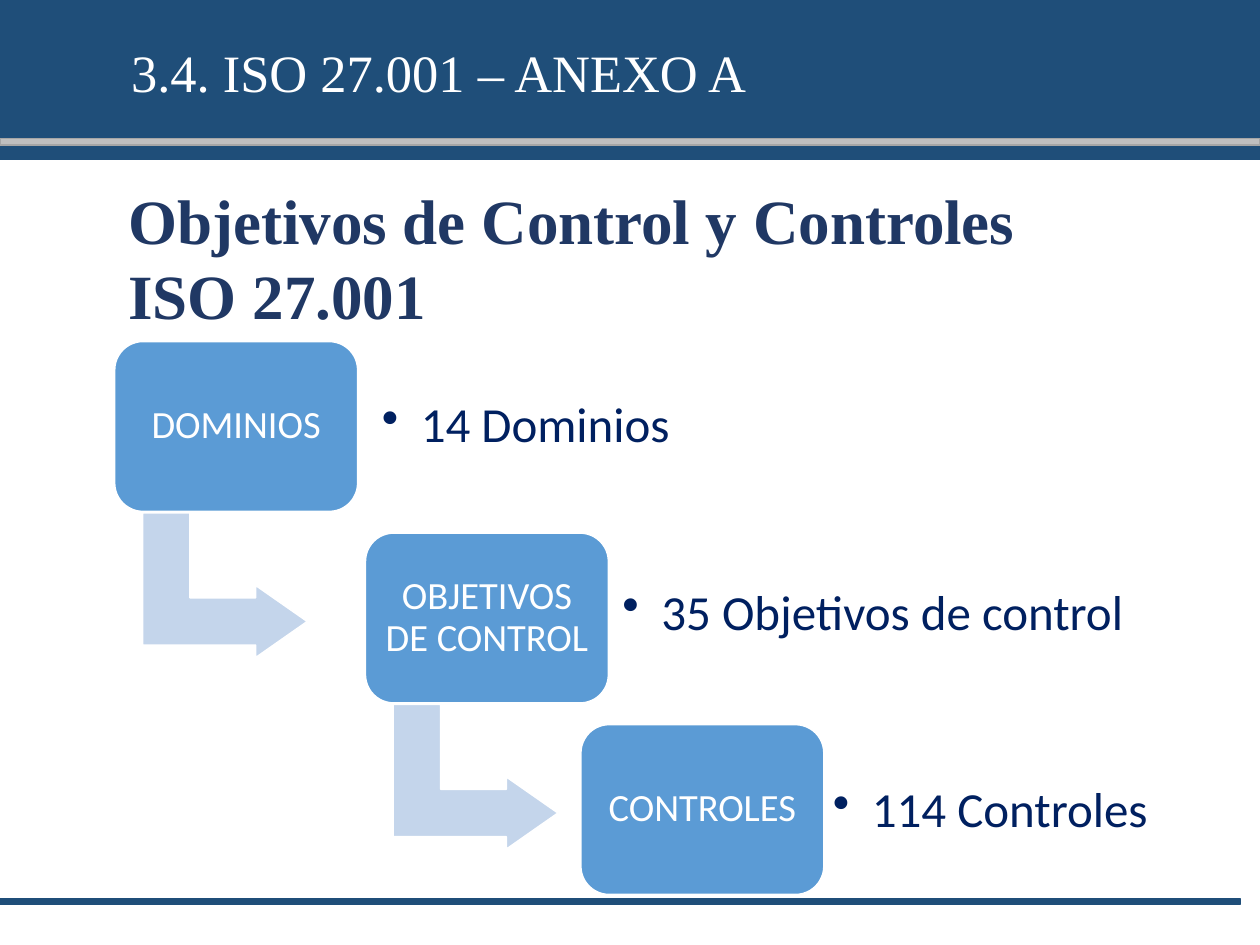
from pptx import Presentation
from pptx.dml.color import RGBColor
from pptx.enum.shapes import MSO_SHAPE
from pptx.enum.text import MSO_ANCHOR, PP_ALIGN
from pptx.oxml.ns import qn
from pptx.util import Inches, Pt
from lxml.etree import SubElement

NAVY = RGBColor(0x1F, 0x4E, 0x79)
GRAY = RGBColor(0xBF, 0xBF, 0xBF)
EDGE = RGBColor(0xA6, 0xA6, 0xA6)
BLUE = RGBColor(0x5B, 0x9B, 0xD5)
PALE = RGBColor(0xC4, 0xD5, 0xEB)
WHITE = RGBColor(0xFF, 0xFF, 0xFF)
TITLE = RGBColor(0x20, 0x38, 0x64)
INK = RGBColor(0x00, 0x20, 0x60)
SERIF, SANS = "Times New Roman", "Calibri"

# Box label, box left, note, note left, note top, note width
STEPS = [
    ("DOMINIOS", 0.91, "14 Dominios", 2.91, 2.84, 3.01),
    ("OBJETIVOS DE CONTROL", 2.9, "35 Objetivos de control", 4.82, 4.33, 4.4),
    ("CONTROLES", 4.61, "114 Controles", 6.49, 5.9, 3.14),
]
TOP, PITCH = 2.71, 1.52


def add_form(slide, kind, box, fill, line, adjust=()):
    form = slide.shapes.add_shape(kind, *map(Inches, box))
    form.shadow.inherit = False
    form.fill.solid()
    form.fill.fore_color.rgb = fill
    form.line.color.rgb = line
    form.line.width = Pt(1)
    for i, value in enumerate(adjust):
        form.adjustments[i] = value
    return form


def set_text(frame, text, font, size, color, pad=(0.1, 0.05), bold=False):
    frame.word_wrap = True
    frame.margin_left = frame.margin_right = Inches(pad[0])
    frame.margin_top = frame.margin_bottom = Inches(pad[1])
    para = frame.paragraphs[0]
    run = para.add_run()
    run.text = text
    run.font.name = font
    run.font.size = Pt(size)
    run.font.bold = bold
    run.font.color.rgb = color
    return para


def add_text(slide, box, *args, **style):
    frame = slide.shapes.add_textbox(*map(Inches, box)).text_frame
    return frame, set_text(frame, *args, **style)


def add_box(slide, left, top, text):
    form = add_form(slide, MSO_SHAPE.ROUNDED_RECTANGLE,
                    (left, top, 1.93, 1.35), BLUE, WHITE, [0.167])
    form.text_frame.vertical_anchor = MSO_ANCHOR.MIDDLE
    para = set_text(form.text_frame, text, SANS, 22, WHITE, (0.09, 0.09))
    para.alignment = PP_ALIGN.CENTER
    para.line_spacing = 0.9


def add_note(slide, box, text):
    frame, para = add_text(slide, box, text, SANS, 28, INK, (0.12, 0.12))
    frame.vertical_anchor = MSO_ANCHOR.MIDDLE
    para.level = 1
    para.line_spacing = 0.9
    # Bullet with hanging indent
    props = para._p.get_or_add_pPr()
    props.set("marL", str(Inches(0.31)))
    props.set("indent", str(-Inches(0.31)))
    SubElement(props, qn("a:buChar")).set("char", "•")


def add_arrow(slide, left, top):
    arrow = add_form(slide, MSO_SHAPE.BENT_UP_ARROW, (left, top, 1.15, 1.31),
                     PALE, WHITE, [0.328, 0.25, 0.358])
    arrow.rotation = 90


def main():
    deck = Presentation()
    deck.slide_width, deck.slide_height = Inches(10), Inches(7.5)
    slide = deck.slides.add_slide(deck.slide_layouts[6])

    # Header and footer bars
    bar = MSO_SHAPE.RECTANGLE
    add_form(slide, bar, (0, 0, 10, 1.26), NAVY, NAVY)
    add_form(slide, bar, (0, 1.1, 10, 0.05), GRAY, EDGE)
    add_form(slide, bar, (-0.16, 7.13, 10, 0.05), NAVY, NAVY)

    # Headings
    add_text(slide, (0.92, 0.26, 8.5, 0.58), "3.4. ISO 27.001 – ANEXO A",
             SERIF, 30, WHITE, (0.12, 0.06))
    add_text(slide, (0.92, 1.39, 8.2, 1.31),
             "Objetivos de Control y Controles ISO 27.001",
             SERIF, 36, TITLE, bold=True)

    # Descending steps, with an arrow to each next one
    for i, (label, left, note, x, y, width) in enumerate(STEPS):
        top = TOP + i * PITCH
        if i < len(STEPS) - 1:
            add_arrow(slide, left + 0.3, top + 1.28)
        add_box(slide, left, top, label)
        add_note(slide, (x, y, width, 1.09), note)

    deck.save("out.pptx")


if __name__ == "__main__":
    main()
